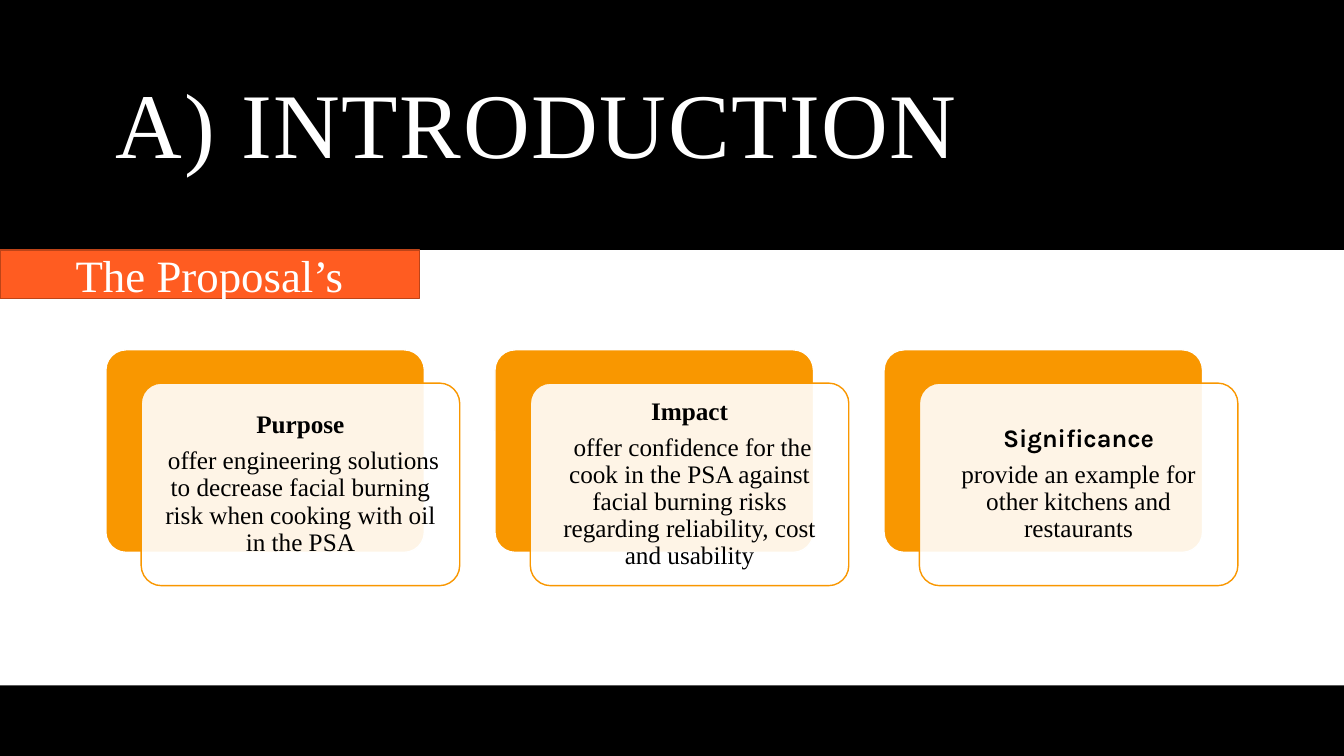
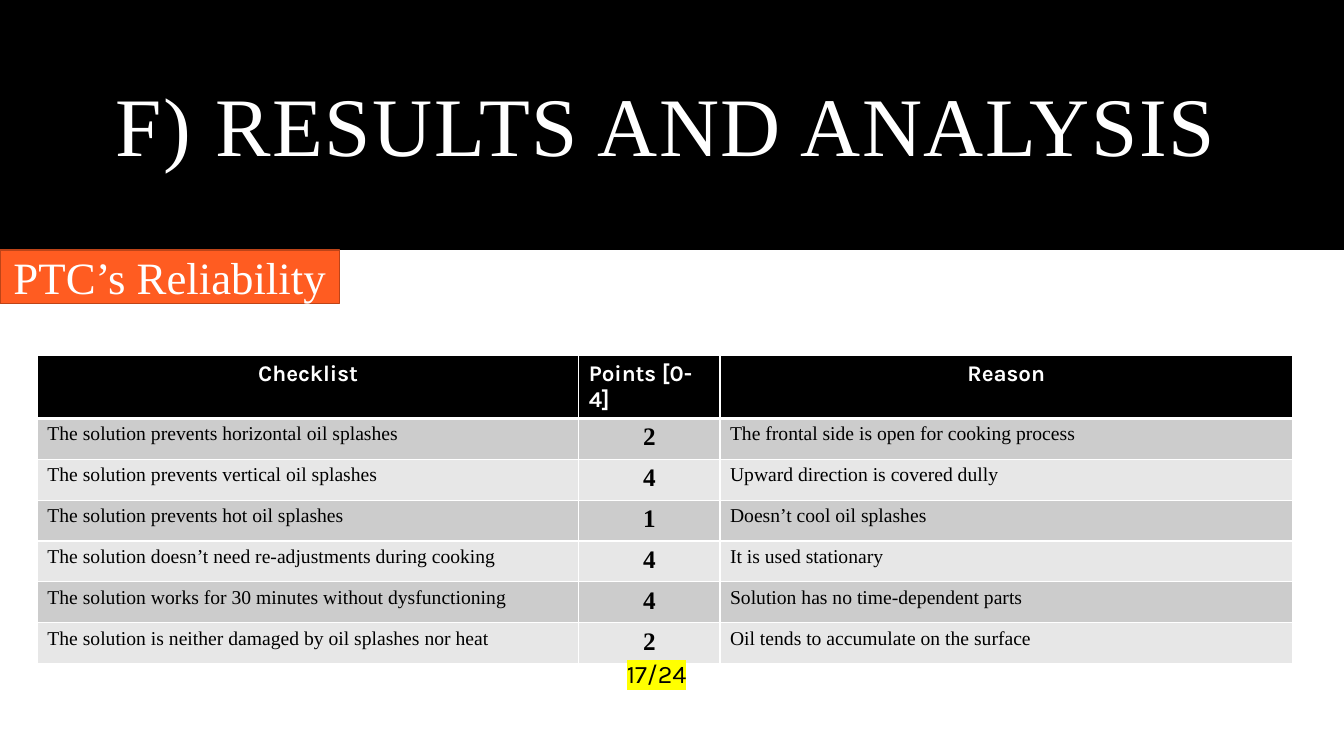
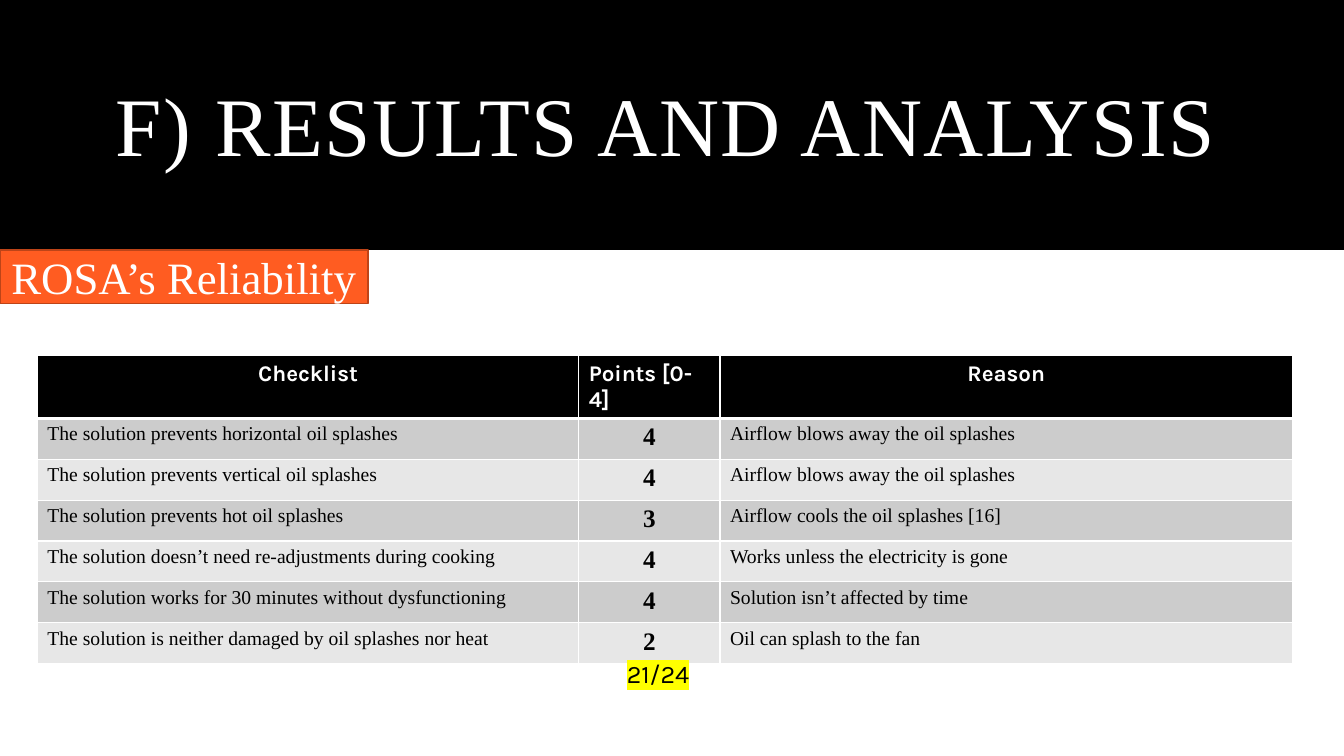
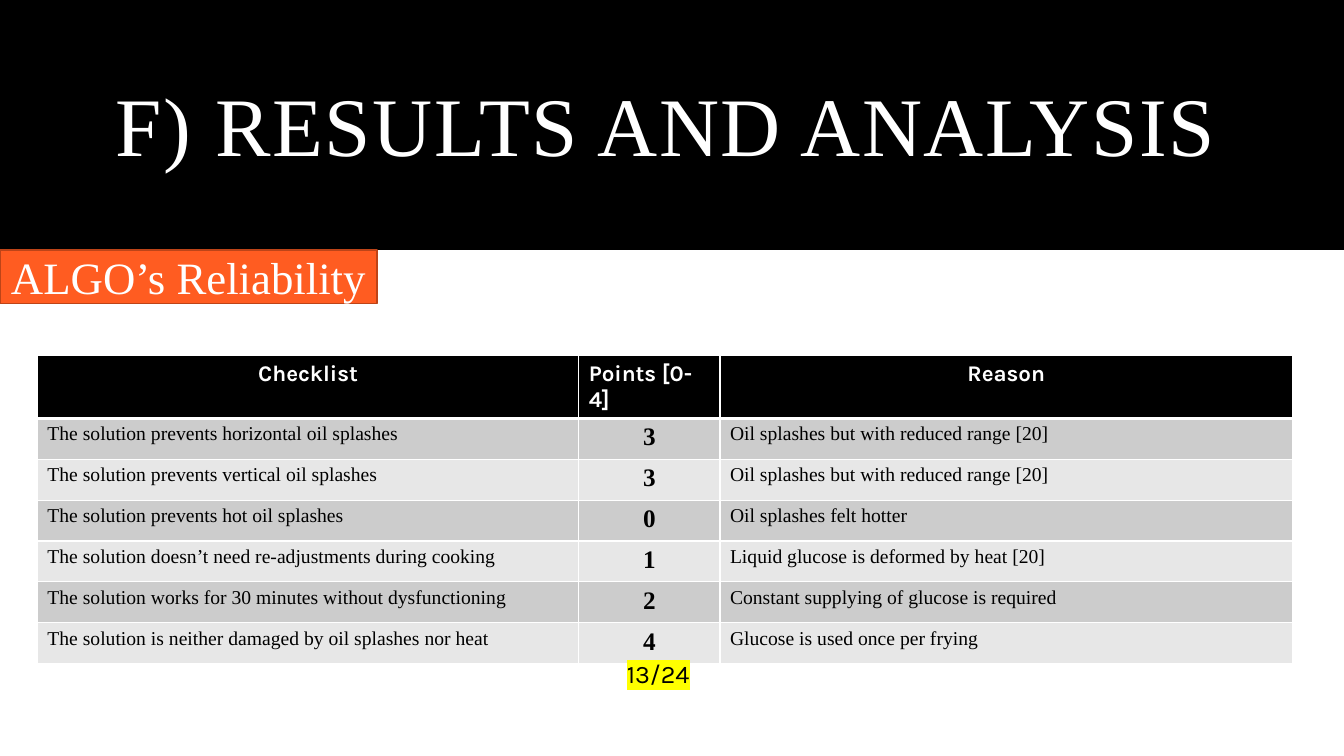
from dataclasses import dataclass

from lxml.etree import SubElement
from pptx import Presentation
from pptx.dml.color import RGBColor
from pptx.enum.shapes import MSO_SHAPE as Preset
from pptx.enum.text import MSO_ANCHOR as Anchor, MSO_AUTO_SIZE as AutoSize, PP_ALIGN as Align
from pptx.oxml.ns import qn
from pptx.util import Inches, Pt


@dataclass(frozen=True)
class Theme:
    """Colours, fonts, type sizes and slide size of the whole deck."""
    black: str = "000000"
    white: str = "FFFFFF"
    tag: str = "FF5C21"
    tag_edge: str = "BD4418"
    card: str = "F99700"
    row_dark: str = "CCCCCC"
    row_light: str = "E7E7E7"
    marker: str = "FFFF00"
    serif: str = "Times New Roman"
    sans: str = "Karla"
    title_large: float = 66
    title_small: float = 59.4
    tag_size: float = 32
    body_size: float = 18
    header_size: float = 16
    cell_size: float = 14
    width: int = Inches(13.33)
    height: int = Inches(7.5)


THEME = Theme()
BAND_HEIGHT = 33.07
TITLE_BOX = (7.88, 4.67, 84.25, 24.8)
TABLE_BOX = (2.78, 47.07, 93.4, 37.87)
TABLE_COLUMNS = (43.13, 11.25, 45.62)
TOTAL_BOX = (45.9, 86.4, 7.13, 5.33)
CARD_LEFT, CARD_TOP, CARD_WIDTH, CARD_HEIGHT = 7.88, 46.27, 23.7, 26.8
CARD_PITCH, CARD_SHIFT_X, CARD_SHIFT_Y = 28.95, 2.63, 4.4

CARDS = (
    ("Purpose", THEME.serif,
     " offer engineering solutions to decrease facial burning risk when cooking with oil in the PSA"),
    ("Impact", THEME.serif,
     " offer confidence for the cook in the PSA against facial burning risks "
     "regarding reliability, cost and usability"),
    ("Significance", THEME.sans, "provide an example for other kitchens and restaurants"),
)
HEADERS = ("Checklist", "Points [0-4]", "Reason")
CHECKLIST = (
    "The solution prevents horizontal oil splashes",
    "The solution prevents vertical oil splashes",
    "The solution prevents hot oil splashes",
    "The solution doesn’t need re-adjustments during cooking",
    "The solution works for 30 minutes without dysfunctioning",
    "The solution is neither damaged by oil splashes nor heat",
)
RESULTS = (
    ("PTC’s Reliability", 25.28, "17/24", (
        ("2", "The frontal side is open for cooking process"),
        ("4", "Upward direction is covered dully"),
        ("1", "Doesn’t cool oil splashes"),
        ("4", "It is used stationary"),
        ("4", "Solution has no time-dependent parts"),
        ("2", "Oil tends to accumulate on the surface"))),
    ("ROSA’s Reliability", 27.38, "21/24", (
        ("4", "Airflow blows away the oil splashes"),
        ("4", "Airflow blows away the oil splashes"),
        ("3", "Airflow cools the oil splashes [16]"),
        ("4", "Works unless the electricity is gone"),
        ("4", "Solution isn’t affected by time"),
        ("2", "Oil can splash to the fan"))),
    ("ALGO’s Reliability", 28.06, "13/24", (
        ("3", "Oil splashes but with reduced range [20]"),
        ("3", "Oil splashes but with reduced range [20]"),
        ("0", "Oil splashes felt hotter"),
        ("1", "Liquid glucose is deformed by heat [20]"),
        ("2", "Constant supplying of glucose is required"),
        ("4", "Glucose is used once per frying"))),
)


def rgb(code):
    """Turn a hex code into a colour."""
    return RGBColor.from_string(code)


def place(left, top, width, height):
    """Turn percentages of the slide into lengths."""
    return (int(left * THEME.width / 100), int(top * THEME.height / 100),
            int(width * THEME.width / 100), int(height * THEME.height / 100))


def style(para, size, color=THEME.black, face=THEME.serif, bold=False, align=Align.LEFT):
    """Set the font and alignment of one paragraph."""
    para.alignment = align
    font = para.font
    font.size, font.name, font.bold = Pt(size), face, bold
    font.color.rgb = rgb(color)


def add_panel(page, area, fill, edge=None, preset=Preset.RECTANGLE):
    """Add a flat filled shape with an optional thin outline."""
    panel = page.shapes.add_shape(preset, *place(*area))
    panel.shadow.inherit = False
    panel.fill.solid()
    panel.fill.fore_color.rgb = rgb(fill)
    if edge:
        panel.line.color.rgb = rgb(edge)
        panel.line.width = Pt(1)
    else:
        panel.line.fill.background()
    return panel


def share_band(page):
    """Put the black title band on the layout that all pages use."""
    band = add_panel(page, (0, 0, 100, BAND_HEIGHT), THEME.black)
    page.slide_layout.shapes.element.insert(2, band.element)


def add_page(deck, heading, size):
    """Add a title-only page with its heading in the band."""
    page = deck.slides.add_slide(deck.slide_layouts[5])
    title = page.shapes.title
    title.left, title.top, title.width, title.height = place(*TITLE_BOX)
    frame = title.text_frame
    frame.text = heading
    frame.auto_size, frame.vertical_anchor = AutoSize.NONE, Anchor.MIDDLE
    para = frame.paragraphs[0]
    style(para, size, THEME.white)
    para.line_spacing = 0.9
    for props in title.element.iter(qn("a:defRPr")):
        props.set("spc", "120")
    return page


def add_tag(page, text, width, height=7.07):
    """Add the orange section tag below the band."""
    tag = add_panel(page, (0, BAND_HEIGHT, width, height), THEME.tag, THEME.tag_edge)
    tag.text_frame.text = text
    tag.text_frame.vertical_anchor = Anchor.MIDDLE
    style(tag.text_frame.paragraphs[0], THEME.tag_size, THEME.white, align=Align.CENTER)
    return tag


def add_card(page, index, heading, face, text):
    """Add an orange card with a translucent text card shifted over it."""
    left = CARD_LEFT + index * CARD_PITCH
    back = add_panel(page, (left, CARD_TOP, CARD_WIDTH, CARD_HEIGHT),
                     THEME.card, THEME.white, Preset.ROUNDED_RECTANGLE)
    front = add_panel(page, (left + CARD_SHIFT_X, CARD_TOP + CARD_SHIFT_Y, CARD_WIDTH, CARD_HEIGHT),
                      THEME.white, THEME.card, Preset.ROUNDED_RECTANGLE)
    back.adjustments[0] = front.adjustments[0] = 0.1
    fill_color = front.element.spPr.find(qn("a:solidFill"))[0]
    SubElement(fill_color, qn("a:alpha"), val="90000")
    frame = front.text_frame
    frame.word_wrap, frame.vertical_anchor = True, Anchor.MIDDLE
    frame.margin_left = frame.margin_right = frame.margin_top = frame.margin_bottom = Inches(0.07)
    frame.text = f"{heading}\n{text}"
    for para, name, bold in zip(frame.paragraphs, (face, THEME.serif), (True, False)):
        style(para, THEME.body_size, face=name, bold=bold, align=Align.CENTER)
        para.line_spacing, para.space_after = 0.9, Pt(6.3)


def set_borders(cell, bottom):
    """Draw white borders round a cell, the lower one of the given width."""
    props = cell.fill and cell._tc.get_or_add_tcPr()
    for side, width in (("L", 1), ("R", 1), ("T", 1), ("B", bottom)):
        line = SubElement(props, qn(f"a:ln{side}"), w=str(Pt(width)))
        SubElement(SubElement(line, qn("a:solidFill")), qn("a:srgbClr"), val=THEME.white)


def fill_cell(cell, text, fill, bottom=1, **look):
    """Write and format one table cell."""
    set_borders(cell, bottom)
    cell.fill.solid()
    cell.fill.fore_color.rgb = rgb(fill)
    cell.text = text
    style(cell.text_frame.paragraphs[0], **look)


def add_checklist(page, scores):
    """Add the table of checks, points and reasons."""
    area = place(*TABLE_BOX)
    table = page.shapes.add_table(len(CHECKLIST) + 1, len(HEADERS), *area).table
    table.first_row = table.horz_banding = False
    for column, share in zip(table.columns, TABLE_COLUMNS):
        column.width = int(area[2] * share / 100)
    for cell, text, align in zip(table.rows[0].cells, HEADERS, (Align.CENTER, Align.LEFT, Align.CENTER)):
        fill_cell(cell, text, THEME.black, bottom=3, size=THEME.header_size,
                  color=THEME.white, face=THEME.sans, bold=True, align=align)
    plain = {"size": THEME.cell_size}
    strong = {"size": THEME.body_size, "bold": True, "align": Align.CENTER}
    for index, (check, (points, reason)) in enumerate(zip(CHECKLIST, scores)):
        shade = THEME.row_light if index % 2 else THEME.row_dark
        cells = table.rows[index + 1].cells
        for cell, text, look in zip(cells, (check, points, reason), (plain, strong, plain)):
            fill_cell(cell, text, shade, **look)


def add_total(page, text):
    """Add the highlighted total below the points column."""
    box = page.shapes.add_textbox(*place(*TOTAL_BOX))
    box.text_frame.word_wrap = True
    span = box.text_frame.paragraphs[0].add_run()
    span.text = text
    span.font.size, span.font.name = Pt(THEME.body_size), THEME.sans
    span.font.color.rgb = rgb(THEME.black)
    props = next(box.element.iter(qn("a:rPr")))
    highlight = SubElement(props, qn("a:highlight"))
    SubElement(highlight, qn("a:srgbClr"), val=THEME.marker)
    props.find(qn("a:solidFill")).addnext(highlight)


def build_introduction(deck):
    """Build the introduction page with its three cards."""
    page = add_page(deck, "A) INTRODUCTION", THEME.title_large)
    share_band(page)
    backdrop = add_panel(page, (0, 0, 100, 100), THEME.black)
    page.shapes.element.insert(2, backdrop.element)
    add_panel(page, (0, BAND_HEIGHT, 100, 57.6), THEME.white)
    tag = add_tag(page, "The Proposal’s", 31.2, 6.4)
    tag.text_frame.paragraphs[0].space_after = Pt(6)
    for index, card in enumerate(CARDS):
        add_card(page, index, *card)


def build_result(deck, label, tag_width, total, scores):
    """Build one page of reliability results."""
    page = add_page(deck, "F) RESULTS AND ANALYSIS", THEME.title_small)
    add_tag(page, label, tag_width)
    add_checklist(page, scores)
    add_total(page, total)


def main():
    """Build and save the deck."""
    deck = Presentation()
    deck.slide_width, deck.slide_height = THEME.width, THEME.height
    build_introduction(deck)
    for result in RESULTS:
        build_result(deck, *result)
    deck.save("out.pptx")


if __name__ == "__main__":
    main()
